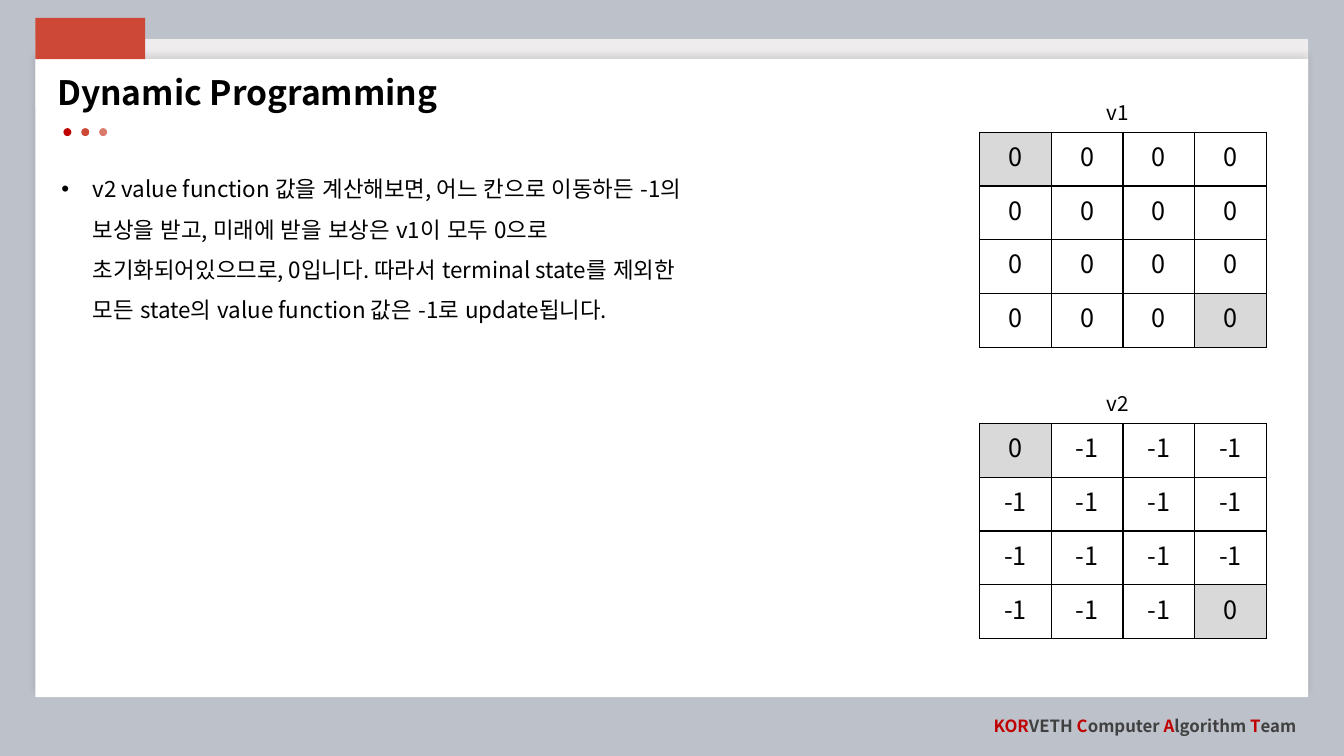
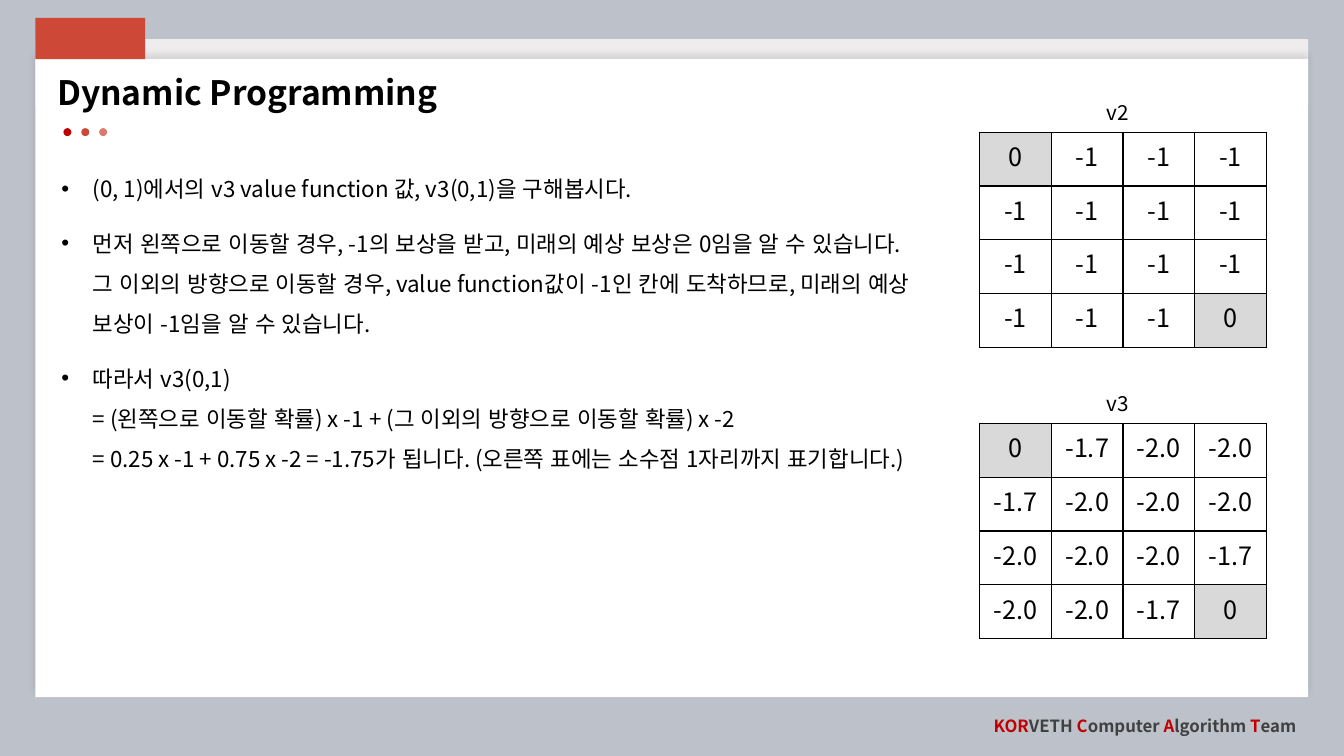
from pptx import Presentation
from pptx.dml.color import RGBColor as Rgb
from pptx.enum.shapes import MSO_SHAPE as Kind
from pptx.enum.text import MSO_ANCHOR as Anchor, MSO_AUTO_SIZE as Fit, PP_ALIGN as Align
from pptx.oxml import parse_xml
from pptx.oxml.ns import nsdecls, qn
from pptx.util import Cm, Pt
from lxml.etree import SubElement as Sub

FONT = "Noto Sans CJK KR"
HUES = {
    "back": "BDC1CA", "tab": "EEECED", "page": "FFFFFF", "red": "CD4837",
    "deep": "C00000", "pale": "DA796C", "ink": "000000", "gray": "404040",
    "end": "D9D9D9",
}
TEAM = [("KOR", "deep"), ("VETH ", "gray"), ("C", "deep"), ("omputer ", "gray"),
        ("A", "deep"), ("lgorithm ", "gray"), ("T", "deep"), ("eam", "gray")]

# Paragraph formats
HEAD = {"line_spacing": 0.9, "space_before": Pt(10)}
BODY = {"line_spacing": 1.5, "space_before": Pt(10)}
NAME = {"line_spacing": 1.4, "space_before": Pt(10)}
RIGHT = {"alignment": Align.RIGHT}
MID = {"alignment": Align.CENTER}


def hue(key):
    return Rgb.from_string(HUES[key])


class Deck:
    def __init__(self):
        self.prs = Presentation()
        self.prs.slide_width, self.prs.slide_height = Cm(33.87), Cm(19.05)
        self.slide = None

    # Text
    def run(self, para, text, size, color="ink", bold=False):
        run = para.add_run()
        run.text = text
        style = {"size": Pt(size), "name": FONT, "bold": bold}
        for key, val in style.items():
            setattr(run.font, key, val)
        run.font.color.rgb = hue(color)
        props = run.font._element
        props.set("lang", "ko-KR")
        Sub(props, qn("a:ea")).set("typeface", FONT)

    def form(self, para, style):
        for key, val in style.items():
            setattr(para, key, val)

    def text(self, box, lines, size, style, bold=False):
        frame = self.slide.shapes.add_textbox(*map(Cm, box)).text_frame
        frame.word_wrap = True
        for i, line in enumerate(lines):
            para = frame.add_paragraph() if i else frame.paragraphs[0]
            self.form(para, style)
            for j, part in enumerate(line.split("\n")):
                if j:
                    para.add_line_break()
                self.run(para, part, size, bold=bold)
        return frame

    def points(self, width, lines):
        frame = self.text((1.3, 3.96, width, 13.1), lines, 16, BODY)
        for para in frame.paragraphs:
            props = para._p.get_or_add_pPr()
            props.set("marL", str(Cm(0.79)))
            props.set("indent", str(-Cm(0.79)))
            Sub(props, qn("a:buFont")).set("typeface", "Arial")
            Sub(props, qn("a:buChar")).set("char", "•")

    # Shapes
    def shape(self, kind, box, color):
        shape = self.slide.shapes.add_shape(kind, *map(Cm, box))
        shape.shadow.inherit = False
        shape.fill.solid()
        shape.fill.fore_color.rgb = hue(color)
        shape.line.fill.background()
        return shape

    def shade(self, shape):
        glow = Sub(shape._element.spPr.find(qn("a:effectLst")), qn("a:outerShdw"))
        for key, val in {"blurRad": Pt(4), "dist": Pt(3), "dir": 270 * 60000}.items():
            glow.set(key, str(val))
        tint = Sub(glow, qn("a:srgbClr"))
        tint.set("val", HUES["ink"])
        Sub(tint, qn("a:alpha")).set("val", "10000")

    # Value grid with its name above
    def grid(self, top, name, rows):
        self.text((27.64, top - 1.2, 2.62, 1.2), [name], 14.8, NAME)
        size = len(rows)
        table = self.slide.shapes.add_table(
            size, size, Cm(24.69), Cm(top), Cm(7.22), Cm(5.42)).table
        table.first_row = table.horz_banding = False
        ends = (0, 2 * size - 2)
        for i, row in enumerate(rows):
            for j, val in enumerate(row.split()):
                self.cell(table.cell(i, j), val, i + j in ends)

    def cell(self, cell, val, end):
        para = cell.text_frame.paragraphs[0]
        self.form(para, MID)
        self.run(para, val, 18)
        props = cell._tc.get_or_add_tcPr()
        for side in ("lnL", "lnR", "lnT", "lnB"):
            props.append(parse_xml(
                f'<a:{side} {nsdecls("a")} w="{Pt(1)}"><a:solidFill>'
                f'<a:srgbClr val="{HUES["ink"]}"/></a:solidFill></a:{side}>'))
        if end:
            cell.fill.solid()
            cell.fill.fore_color.rgb = hue("end")
        else:
            cell.fill.background()

    # Shared frame, title and footer
    def page(self, title):
        self.slide = self.prs.slides.add_slide(self.prs.slide_layouts[6])
        fill = self.slide.background.fill
        fill.solid()
        fill.fore_color.rgb = hue("back")
        tab = self.shape(Kind.ROUNDED_RECTANGLE, (0.89, 0.99, 32.08, 1.7), "tab")
        tab.adjustments[0] = 0.015
        self.shade(self.shape(Kind.RECTANGLE, (0.89, 1.49, 32.08, 16.08), "page"))
        for i, color in enumerate(("deep", "red", "pale")):
            self.shape(Kind.OVAL, (1.6 + 0.45 * i, 3.23, 0.2, 0.2), color)
        self.shape(Kind.RECTANGLE, (0.89, 0.45, 2.77, 1.04), "red")
        self.foot()
        self.text((1.19, 1.8, 11, 1.4), [title], 24, HEAD, bold=True)

    def foot(self):
        box = self.slide.shapes.add_textbox(Cm(24.66), Cm(17.91), Cm(8.26), Cm(0.76))
        frame = box.text_frame
        style = {"word_wrap": False, "vertical_anchor": Anchor.MIDDLE,
                 "auto_size": Fit.SHAPE_TO_FIT_TEXT}
        self.form(frame, style)
        para = frame.paragraphs[0]
        self.form(para, RIGHT)
        for part, color in TEAM:
            self.run(para, part, 12, color, bold=True)


TITLE = "Dynamic Programming"
TOP, LOW = 3.33, 10.67
V1 = ["0 0 0 0"] * 4
V2 = ["0 -1 -1 -1", "-1 -1 -1 -1", "-1 -1 -1 -1", "-1 -1 -1 0"]
V3 = ["0 -1.7 -2.0 -2.0", "-1.7 -2.0 -2.0 -2.0",
      "-2.0 -2.0 -2.0 -1.7", "-2.0 -2.0 -1.7 0"]


def main():
    deck = Deck()

    # From v1 to v2
    deck.page(TITLE)
    deck.points(17.04, [
        "v2 value function 값을 계산해보면, 어느 칸으로 이동하든 -1의 보상을 받고, "
        "미래에 받을 보상은 v1이 모두 0으로 초기화되어있으므로, 0입니다. 따라서 "
        "terminal state를 제외한 모든 state의 value function 값은 -1로 update됩니다."])
    deck.grid(TOP, "v1", V1)
    deck.grid(LOW, "v2", V2)

    # From v2 to v3
    deck.page(TITLE)
    deck.points(22.17, [
        "(0, 1)에서의 v3 value function 값, v3(0,1)을 구해봅시다.",
        "먼저 왼쪽으로 이동할 경우, -1의 보상을 받고, 미래의 예상 보상은 0임을 알 수 "
        "있습니다. 그 이외의 방향으로 이동할 경우, value function값이 -1인 칸에 "
        "도착하므로, 미래의 예상 보상이 -1임을 알 수 있습니다.",
        "따라서 v3(0,1)\n"
        "= (왼쪽으로 이동할 확률) x -1 + (그 이외의 방향으로 이동할 확률) x -2\n"
        "= 0.25 x -1 + 0.75 x -2 = -1.75가 됩니다. "
        "(오른쪽 표에는 소수점 1자리까지 표기합니다.)"])
    deck.grid(TOP, "v2", V2)
    deck.grid(LOW, "v3", V3)

    deck.prs.save("out.pptx")


if __name__ == "__main__":
    main()
